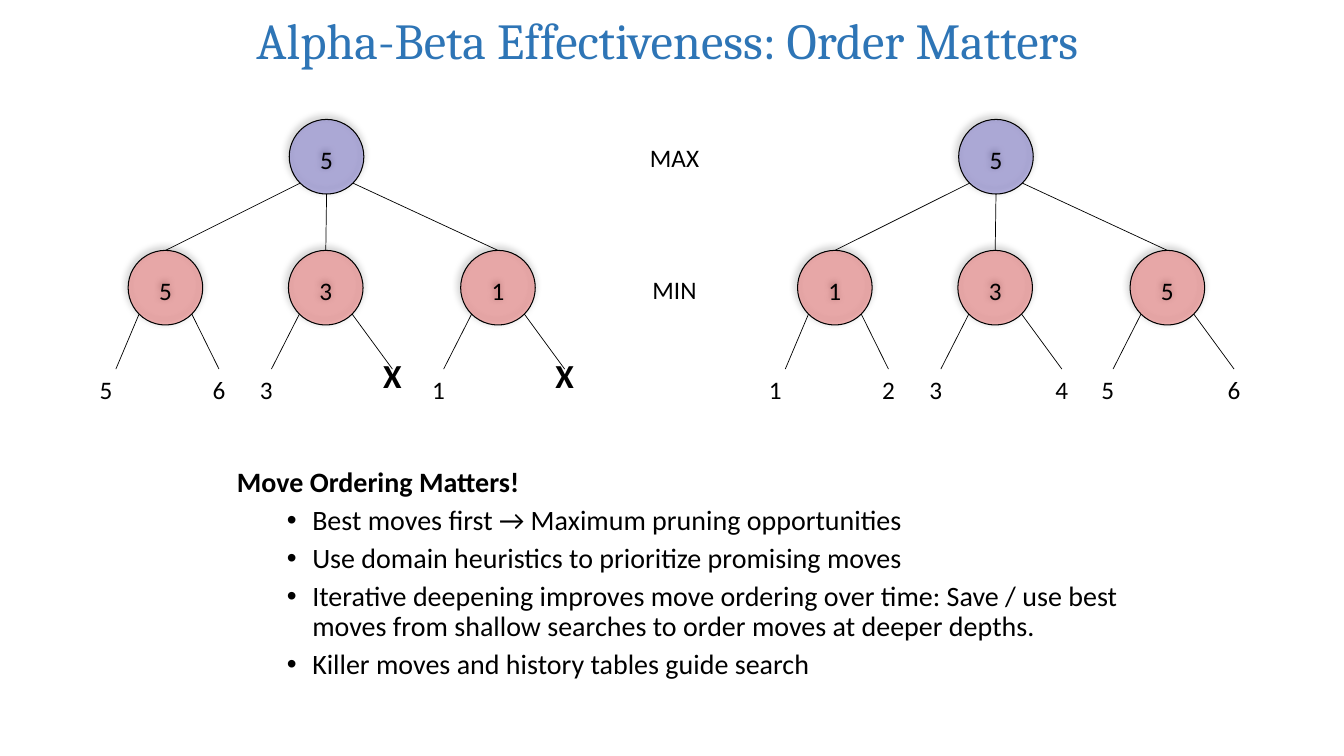
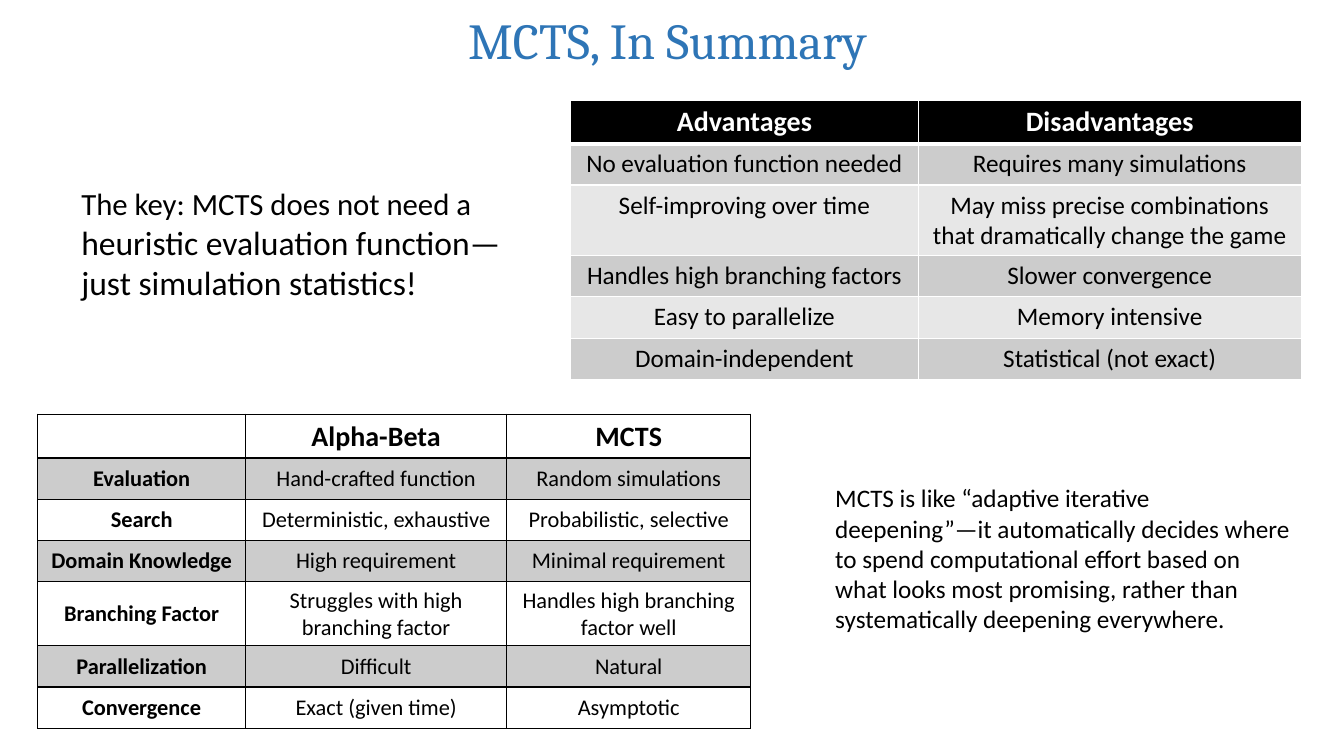
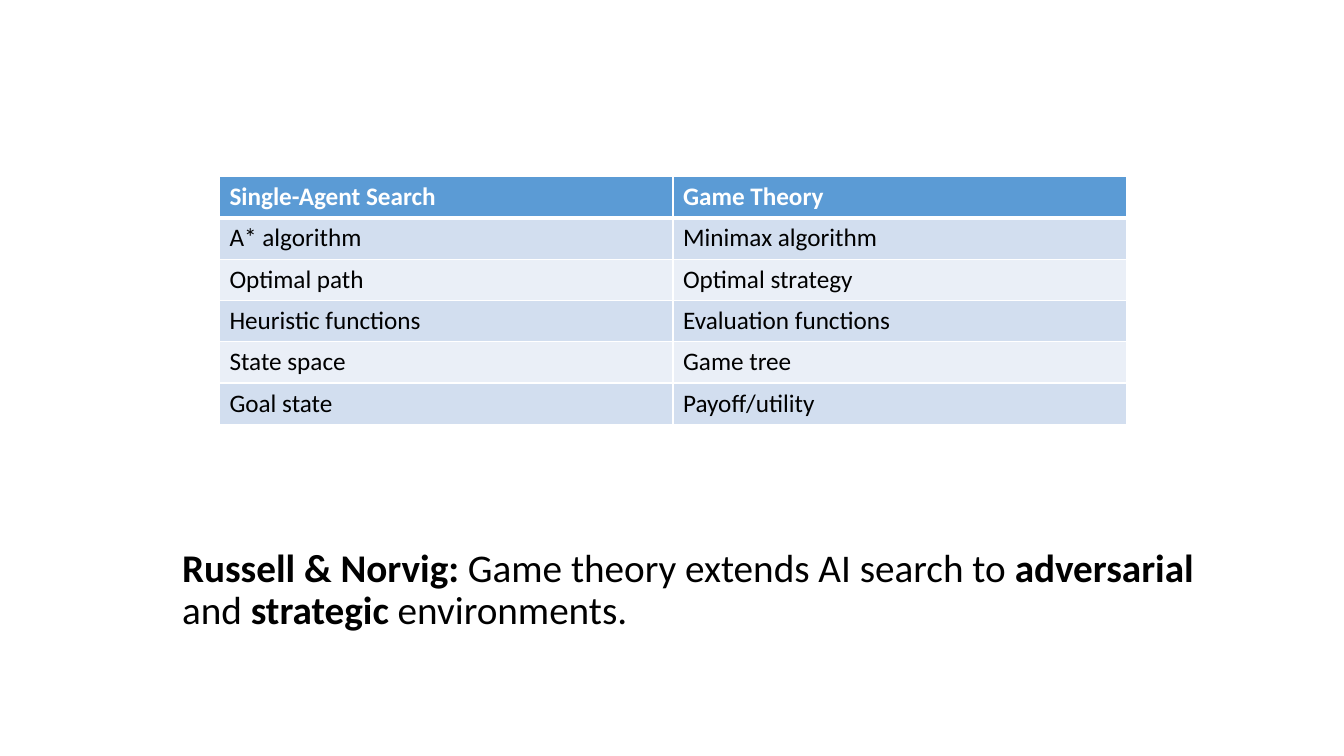
import math

from lxml import etree
from pptx import Presentation
from pptx.dml.color import RGBColor
from pptx.enum import shapes, text
from pptx.oxml import ns
from pptx.util import Cm, Pt

rgb = RGBColor.from_string
BLACK, WHITE, TITLE_BLUE = "000000", "FFFFFF", "2E75B6"
MAX_BLUE, MIN_RED = "1306BA", "FF0000"
CENTER, LEFT = text.PP_ALIGN.CENTER, text.PP_ALIGN.LEFT
TOP, MIDDLE = text.MSO_ANCHOR.TOP, text.MSO_ANCHOR.MIDDLE


def style(frame, size, color=BLACK, bold=False, align=LEFT, font="Calibri"):
    """Format every run of a text frame alike."""
    frame.word_wrap = True
    for paragraph in frame.paragraphs:
        paragraph.alignment = align
        for run in paragraph.runs:
            run.font.name = font
            run.font.size = Pt(size)
            run.font.bold = bold
            run.font.color.rgb = rgb(color)


def add_grid(slide, left, top, widths, rows, header, bands, line, rule,
             sizes, align, anchor=TOP, bold_first=False):
    """Add a banded table; header is (fill, text colour), rule the width below it."""
    row_height = 1.04
    table = slide.shapes.add_table(
        len(rows), len(widths), Cm(left), Cm(top),
        Cm(sum(widths)), Cm(row_height * len(rows))).table
    table.horz_banding = False
    for column, width in zip(table.columns, widths):
        column.width = Cm(width)
    for r, row in enumerate(rows):
        table.rows[r].height = Cm(row_height)
        for c, words in enumerate(row):
            cell = table.cell(r, c)
            cell.text_frame.text = words
            fill, color = header if r == 0 else (bands[(r - 1) % 2], BLACK)
            style(cell.text_frame, sizes[min(r, 1)], color,
                  r == 0 or (bold_first and c == 0), align)
            cell.vertical_anchor = anchor
            borders = {"L": 1, "R": 1, "T": rule if r == 1 else 1,
                       "B": rule if r == 0 else 1}
            for side, width in borders.items():
                border = etree.SubElement(cell._tc.get_or_add_tcPr(),
                                          ns.qn(f"a:ln{side}"), w=str(Pt(width)))
                paint = etree.SubElement(border, ns.qn("a:solidFill"))
                etree.SubElement(paint, ns.qn("a:srgbClr"), val=line)
            cell.fill.solid()
            cell.fill.fore_color.rgb = rgb(fill)


prs = Presentation()
prs.slide_width, prs.slide_height = Cm(33.87), Cm(19.05)
title_only, blank = prs.slide_layouts[5], prs.slide_layouts[6]

ordering = prs.slides.add_slide(title_only)
summary = prs.slides.add_slide(title_only)
closing = prs.slides.add_slide(blank)

for slide, heading in ((ordering, "Alpha-Beta Effectiveness: Order Matters"),
                       (summary, "MCTS, In Summary")):
    title = slide.shapes.title
    title.left, title.top, title.width, title.height = Cm(1.32), Cm(0.2), Cm(31), Cm(1.57)
    title.text_frame.text = heading
    title.text_frame.auto_size = text.MSO_AUTO_SIZE.NONE
    title.text_frame.vertical_anchor = MIDDLE
    style(title.text_frame, 36, TITLE_BLUE, align=CENTER, font="Cambria")

# Slide 1: two game trees
DIAMETER = 1.88
RADIUS = DIAMETER / 2
DIAGONAL = RADIUS * math.sqrt(0.5)
ROOT_Y, MIN_Y, LEAF_Y = 3.95, 7.25, 9.3  # node centres, then branch ends
ROOT_X = 8.23
MIN_X = (4.17, 8.21, 12.55)
BRANCHES = ((-1.25, 1.35), (-1.37, 1.68), (-1.37, 1.68))
CUT = "X"
trees = (
    (0, "5", (("5", "56"), ("3", "3X"), ("1", "1X"))),
    (16.87, "5", (("1", "12"), ("3", "34"), ("5", "56"))),
)

labels = [("MAX", 17, 3.98), ("MIN", 17, 7.3)]  # words, centre x, centre y
for shift, root_value, children in trees:
    nodes = [(root_value, ROOT_X + shift, ROOT_Y, MAX_BLUE)]
    nodes += [(value, x + shift, MIN_Y, MIN_RED)
              for (value, _), x in zip(children, MIN_X)]
    circles = []
    for value, x, y, color in nodes:
        circle = ordering.shapes.add_shape(
            shapes.MSO_SHAPE.OVAL, Cm(x - RADIUS), Cm(y - RADIUS),
            Cm(DIAMETER), Cm(DIAMETER))
        circle.fill.solid()
        circle.fill.fore_color.rgb = rgb(color)
        tint = circle._element.spPr.find(ns.qn("a:solidFill"))[0]
        etree.SubElement(tint, ns.qn("a:alpha"), val="25000")
        circle.line.color.rgb = rgb(BLACK)
        circle.line.width = Pt(0.75)
        circle.shadow.inherit = False
        shadow = etree.SubElement(
            circle._element.spPr.find(ns.qn("a:effectLst")), ns.qn("a:outerShdw"),
            blurRad=str(Pt(5)), dist=str(Pt(2)), dir=str(245 * 60000))
        shade = etree.SubElement(shadow, ns.qn("a:srgbClr"), val=BLACK)
        etree.SubElement(shade, ns.qn("a:alpha"), val="50000")
        frame = circle.text_frame
        frame.text = value
        frame.margin_left = frame.margin_right = frame.margin_bottom = 0
        frame.margin_top = Cm(0.15)
        frame.vertical_anchor = MIDDLE
        style(frame, 18, align=CENTER)
        circles.append(circle)

    edges = []  # start x, start y, end x, end y, node at the end
    root_exits = ((-DIAGONAL, DIAGONAL), (0, RADIUS), (DIAGONAL, DIAGONAL))
    for (dx, dy), x, child in zip(root_exits, MIN_X, circles[1:]):
        edges.append((ROOT_X + dx, ROOT_Y + dy, x, MIN_Y - RADIUS, child))
    for (_, leaves), x, reaches in zip(children, MIN_X, BRANCHES):
        for leaf, reach in zip(leaves, reaches):
            exit_x = x + math.copysign(DIAGONAL, reach)
            edges.append((exit_x, MIN_Y + DIAGONAL, x + reach, LEAF_Y, None))
            label_x = x + (reach if reach > 0 else -1.5)
            labels.append((leaf, label_x + shift, 9.45 if leaf == CUT else 9.82))
    for x1, y1, x2, y2, child in edges:
        branch = ordering.shapes.add_connector(
            shapes.MSO_CONNECTOR.STRAIGHT,
            Cm(x1 + shift), Cm(y1), Cm(x2 + shift), Cm(y2))
        if child is not None:
            branch.end_connect(child, 0)
        branch.line.color.rgb = rgb(BLACK)
        branch.line.width = Pt(0.5)
        etree.SubElement(branch._element.spPr, ns.qn("a:effectLst"))

for words, x, y in labels:
    width = 1.9 if len(words) > 1 else 1.2
    frame = ordering.shapes.add_textbox(
        Cm(x - width / 2), Cm(y - 0.5), Cm(width), Cm(1)).text_frame
    frame.text = words
    frame.vertical_anchor = MIDDLE
    style(frame, 24 if words == CUT else 18, bold=words == CUT, align=CENTER)

advice = ordering.shapes.add_textbox(Cm(5.72), Cm(11.68), Cm(22.83), Cm(6.2)).text_frame
advice.text = "\n".join((
    "Move Ordering Matters!",
    "Best moves first → Maximum pruning opportunities",
    "Use domain heuristics to prioritize promising moves",
    "Iterative deepening improves move ordering over time: Save / use best "
    "moves from shallow searches to order moves at deeper depths.",
    "Killer moves and history tables guide search",
))
for paragraph in advice.paragraphs[1:]:
    properties = paragraph._p.get_or_add_pPr()
    properties.set("marL", str(Cm(1.9)))
    properties.set("indent", str(Cm(-0.64)))
    etree.SubElement(properties, ns.qn("a:buFont"), typeface="Arial")
    etree.SubElement(properties, ns.qn("a:buChar"), char="•")
    paragraph.space_before = Pt(5.5)
style(advice, 20)
advice.paragraphs[0].runs[0].font.bold = True
for paragraph in advice.paragraphs:
    paragraph.line_spacing = 0.9

# Slide 2: summary tables and remarks
key = summary.shapes.add_textbox(Cm(1.8), Cm(4.45), Cm(11.35), Cm(3.33)).text_frame
key.text = "The key: MCTS does not need a"
key.paragraphs[0].add_run().text = " heuristic evaluation function—just simulation statistics!"
style(key, 24)
key.paragraphs[0].runs[0].font.size = Pt(22)

add_grid(summary, 14.38, 2.52, (8.76, 9.65), (
    ("Advantages", "Disadvantages"),
    ("No evaluation function needed", "Requires many simulations"),
    ("Self-improving over time",
     "May miss precise combinations that dramatically change the game"),
    ("Handles high branching factors", "Slower convergence"),
    ("Easy to parallelize", "Memory intensive"),
    ("Domain-independent", "Statistical (not exact)"),
), (BLACK, WHITE), ("CCCCCC", "E7E7E7"), WHITE, 3, (20, 18), CENTER)

add_grid(summary, 0.95, 10.44, (5.24, 6.58, 6.15), (
    ("", "Alpha-Beta", "MCTS"),
    ("Evaluation", "Hand-crafted function", "Random simulations"),
    ("Search", "Deterministic, exhaustive", "Probabilistic, selective"),
    ("Domain Knowledge", "High requirement", "Minimal requirement"),
    ("Branching Factor", "Struggles with high branching factor",
     "Handles high branching factor well"),
    ("Parallelization", "Difficult", "Natural"),
    ("Convergence", "Exact (given time)", "Asymptotic"),
), (WHITE, BLACK), ("CCCCCC", WHITE), BLACK, 2, (20, 16), CENTER, MIDDLE, True)

analogy = summary.shapes.add_textbox(Cm(20.8), Cm(12.04), Cm(12), Cm(4.1)).text_frame
analogy.text = (
    "MCTS is like “adaptive iterative deepening”—it automatically decides where "
    "to spend computational effort based on what looks most promising, rather "
    "than systematically deepening everywhere.")
style(analogy, 18)

# Slide 3: search and game theory side by side
add_grid(closing, 5.53, 4.45, (11.43, 11.43), (
    ("Single-Agent Search", "Game Theory"),
    ("A* algorithm", "Minimax algorithm"),
    ("Optimal path", "Optimal strategy"),
    ("Heuristic functions", "Evaluation functions"),
    ("State space", "Game tree"),
    ("Goal state", "Payoff/utility"),
), ("5B9BD5", WHITE), ("D2DEEF", "EAEFF7"), WHITE, 3, (18, 18), LEFT)

takeaway = closing.shapes.add_textbox(Cm(4.34), Cm(13.69), Cm(27.2), Cm(3.45)).text_frame
sentence = takeaway.paragraphs[0]
for words in ("Russell & Norvig:", " Game theory extends AI search to ",
              "adversarial", " and ", "strategic", " environments."):
    sentence.add_run().text = words
style(takeaway, 28)
sentence.line_spacing = 0.9
for run in sentence.runs[::2]:
    run.font.bold = True

prs.save("out.pptx")
